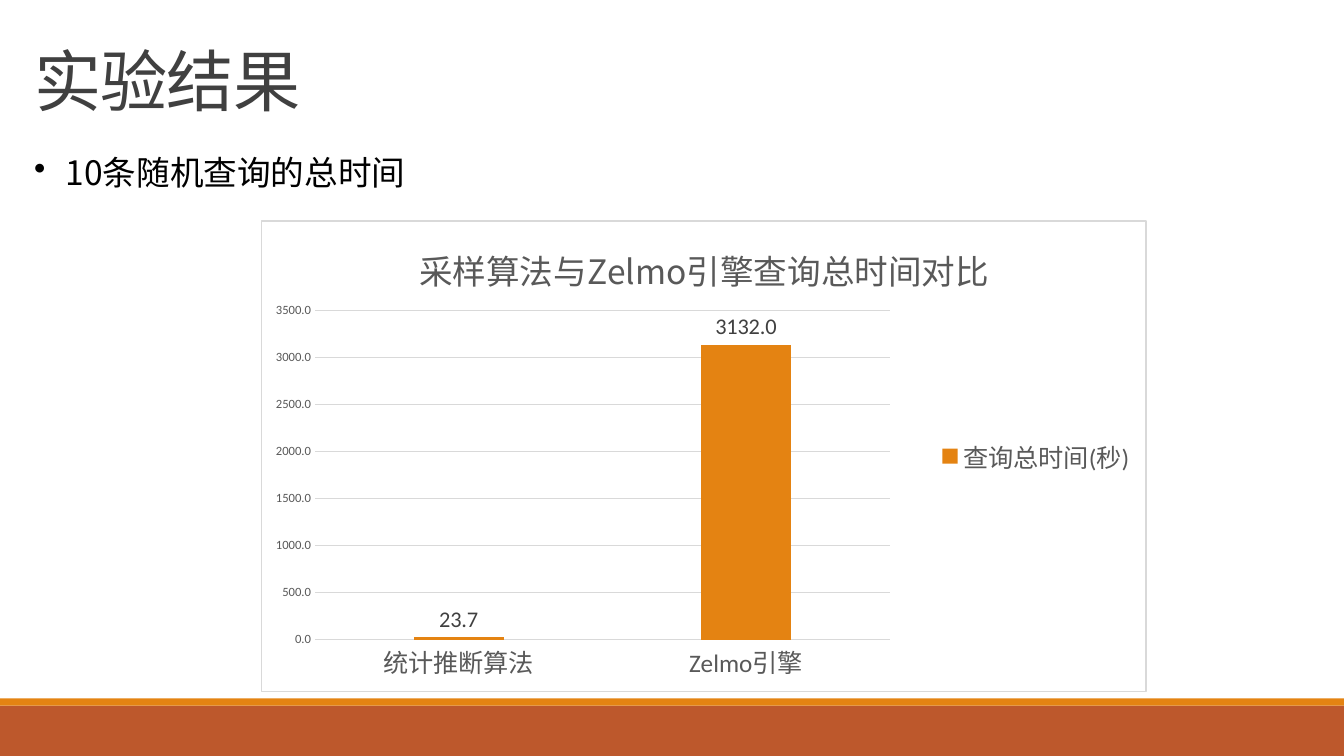
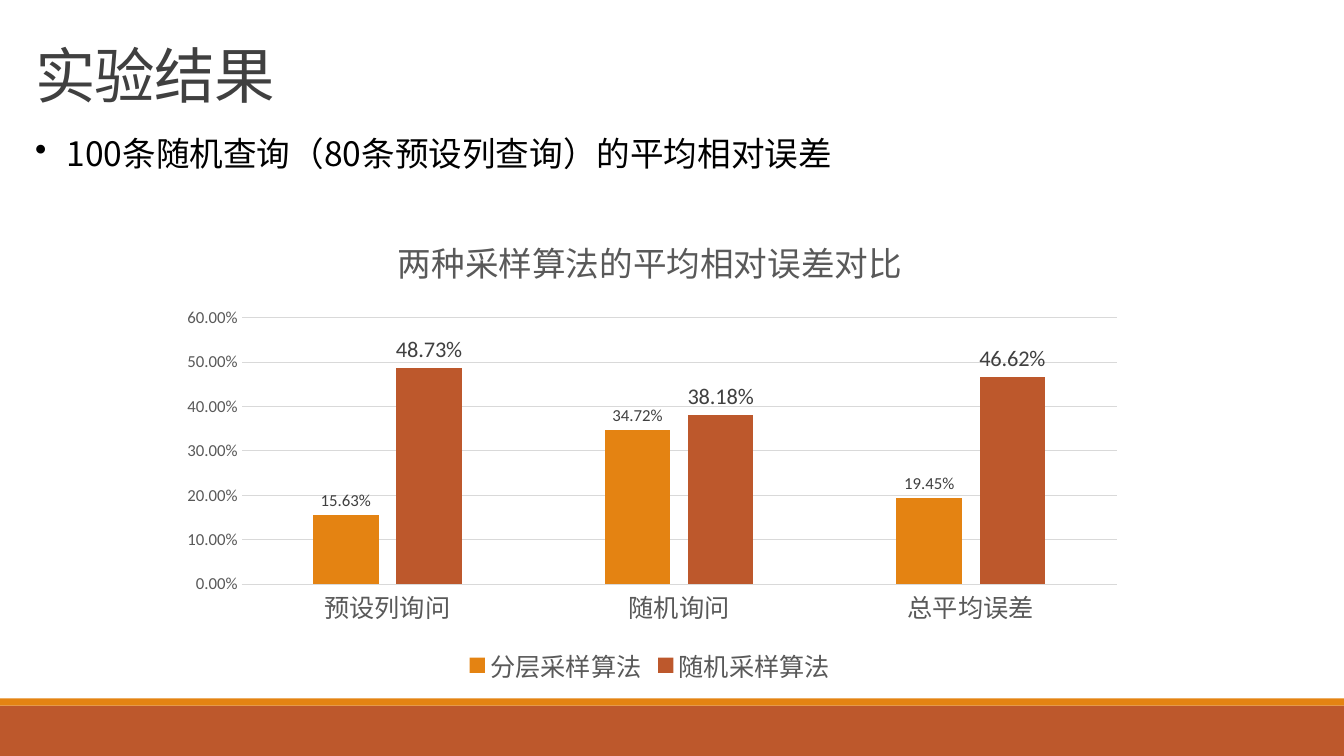
"""Build two slides of experiment results with column charts."""
from dataclasses import dataclass

from lxml.etree import SubElement
from pptx import Presentation
from pptx.chart.data import CategoryChartData
from pptx.dml.color import RGBColor
from pptx.enum.chart import (XL_CHART_TYPE, XL_LABEL_POSITION,
                             XL_LEGEND_POSITION, XL_TICK_MARK)
from pptx.enum.shapes import MSO_SHAPE
from pptx.enum.text import MSO_ANCHOR
from pptx.oxml import parse_xml
from pptx.oxml.ns import nsdecls, qn
from pptx.util import Pt

SCALE = 9525
WIDE, HIGH = 1280, 720


@dataclass(frozen=True)
class Theme:
    """Colours, fonts and type sizes that the slides share."""
    amber: str = "E48312"
    rust: str = "BD582C"
    dark: str = "404040"
    gray: str = "595959"
    rule: str = "D9D9D9"
    black: str = "000000"
    white: str = "FFFFFF"
    sans: str = "Noto Sans CJK SC"
    latin: str = "Calibri"
    head: float = 48
    lower: float = 43.2
    body: float = 24
    label: float = 18
    value: float = 16
    small: float = 12
    base: float = 10
    tiny: float = 9
    hair: float = 0.75


THEME = Theme()


def px(*sizes):
    """Turn px lengths into EMU."""
    return [size * SCALE for size in sizes]


def style(font, size, color, face=THEME.latin):
    """Set size, colour and both typefaces of a font."""
    font.size = Pt(size)
    font.bold = False
    font.color.rgb = RGBColor.from_string(color)
    font.name = face
    SubElement(font._rPr, qn("a:ea"), typeface=THEME.sans)


def write(slide, box, text, *, size=THEME.body, color=THEME.black,
          anchor=MSO_ANCHOR.TOP, leading=None, tracking=None, bullet=None):
    """Add a text box with one formatted paragraph."""
    frame = slide.shapes.add_textbox(*px(*box)).text_frame
    frame.word_wrap = True
    frame.vertical_anchor = anchor
    line = frame.paragraphs[0]
    run = line.add_run()
    run.text = text
    style(run.font, size, color, THEME.sans)
    if leading:
        line.line_spacing = leading
    if tracking:
        run.font._rPr.set("spc", str(tracking))
    if bullet:
        props = line._p.get_or_add_pPr()
        indent, = px(30)
        props.set("marL", str(indent))
        props.set("indent", str(-indent))
        SubElement(props, qn("a:buChar"), char=bullet)


def band(slide, top, height, color):
    """Add a full-width band."""
    shape = slide.shapes.add_shape(MSO_SHAPE.RECTANGLE, *px(0, top, WIDE, height))
    shape.shadow.inherit = False
    shape.fill.solid()
    shape.fill.fore_color.rgb = RGBColor.from_string(color)
    shape.line.fill.background()


def page(deck, box, size=THEME.head):
    """Add a slide with its title and footer bands."""
    slide = deck.slides.add_slide(deck.slide_layouts[6])
    band(slide, 672, 48, THEME.rust)
    band(slide, 665, 7, THEME.amber)
    write(slide, box, "实验结果", size=size, color=THEME.dark,
          anchor=MSO_ANCHOR.BOTTOM, leading=0.85, tracking=-50)
    return slide


def rule(line):
    """Give a line the thin light style."""
    line.color.rgb = RGBColor.from_string(THEME.rule)
    line.width = Pt(THEME.hair)


def place(chart, plot):
    """Fix the inner plot area as fractions of the chart."""
    area = chart._chartSpace.chart.plotArea
    for old in area.findall(qn("c:layout")):
        area.remove(old)
    layout = parse_xml(f'<c:layout {nsdecls("c")}><c:manualLayout/></c:layout>')
    rows = [("layoutTarget", "inner"), ("xMode", "edge"), ("yMode", "edge"),
            *zip("xywh", plot)]
    for tag, val in rows:
        SubElement(layout[0], qn(f"c:{tag}"), val=str(val))
    area.insert(0, layout)


def frame(chart):
    """Give the chart a white ground and a thin border."""
    chart._chartSpace.chart.addnext(parse_xml(
        f'<c:spPr {nsdecls("c", "a")}>'
        f'<a:solidFill><a:srgbClr val="{THEME.white}"/></a:solidFill>'
        f'<a:ln w="{Pt(THEME.hair)}"><a:solidFill>'
        f'<a:srgbClr val="{THEME.rule}"/></a:solidFill></a:ln></c:spPr>'))


def axes(chart, top, step, form, size):
    """Style both axes and the grid lines."""
    cat, val = chart.category_axis, chart.value_axis
    for axis, points in ((cat, THEME.label), (val, size)):
        axis.major_tick_mark = axis.minor_tick_mark = XL_TICK_MARK.NONE
        style(axis.tick_labels.font, points, THEME.gray)
    rule(cat.format.line)
    val.format.line.fill.background()
    rule(val.major_gridlines.format.line)
    val.minimum_scale, val.maximum_scale, val.major_unit = 0, top, step
    val.tick_labels.number_format = form
    val.tick_labels.number_format_is_linked = False


def paint(series, color, size, form):
    """Colour a series and show its values above the columns."""
    series.format.fill.solid()
    series.format.fill.fore_color.rgb = RGBColor.from_string(color)
    series.invert_if_negative = False
    labels = series.data_labels
    labels.show_value = True
    labels.position = XL_LABEL_POSITION.OUTSIDE_END
    labels.number_format = form
    labels.number_format_is_linked = False
    style(labels.font, size, THEME.dark)


def columns(slide, box, title, cats, rows, *, plot, legend, top, step,
            form, marks, size):
    """Add a clustered column chart; rows hold name, values, colour, size."""
    data = CategoryChartData(number_format=form)
    data.categories = cats
    for name, vals, *_ in rows:
        data.add_series(name, vals)
    chart = slide.shapes.add_chart(
        XL_CHART_TYPE.COLUMN_CLUSTERED, *px(*box), data).chart
    style(chart.font, THEME.base, THEME.black)
    run = chart.chart_title.text_frame.paragraphs[0].add_run()
    run.text = title
    style(run.font, THEME.body, THEME.gray, THEME.sans)
    chart.has_legend = True
    chart.legend.position = legend
    chart.legend.include_in_layout = False
    style(chart.legend.font, THEME.label, THEME.gray)
    bars = chart.plots[0]
    bars.vary_by_categories = False
    bars.gap_width, bars.overlap = 219, -27
    for series, (_, _, color, points) in zip(bars.series, rows):
        paint(series, color, points, marks)
    axes(chart, top, step, form, size)
    place(chart, plot)
    return chart


def main():
    """Build and save the deck."""
    deck = Presentation()
    deck.slide_width, deck.slide_height = px(WIDE, HIGH)

    slide = page(deck, (23, 34, 289, 85))
    chart = columns(
        slide, (249, 210, 843, 449), "采样算法与Zelmo引擎查询总时间对比",
        ["统计推断算法", "Zelmo引擎"],
        [("查询总时间(秒)", (23.7, 3132), THEME.amber, THEME.value)],
        plot=(0.06, 0.19, 0.65, 0.7), legend=XL_LEGEND_POSITION.RIGHT,
        top=3500, step=500, form="0.0", marks="###0.0", size=THEME.tiny)
    frame(chart)
    write(slide, (23, 140, 1055, 48), "10条随机查询的总时间", bullet="•")

    slide = page(deck, (24, 25, 271, 85), size=THEME.lower)
    write(slide, (24, 122, 1188, 48),
          "100条随机查询（80条预设列查询）的平均相对误差", bullet="•")
    columns(
        slide, (156, 203, 926, 453), "两种采样算法的平均相对误差对比",
        ["预设列询问", "随机询问", "总平均误差"],
        [("分层采样算法", (0.1563, 0.3472, 0.1945), THEME.amber, THEME.small),
         ("随机采样算法", (0.4873, 0.3818, 0.4662), THEME.rust, THEME.value)],
        plot=(0.08, 0.22, 0.9, 0.56), legend=XL_LEGEND_POSITION.BOTTOM,
        top=0.6, step=0.1, form="0.00%", marks="0.00%", size=THEME.small)

    deck.save("out.pptx")


if __name__ == "__main__":
    main()
